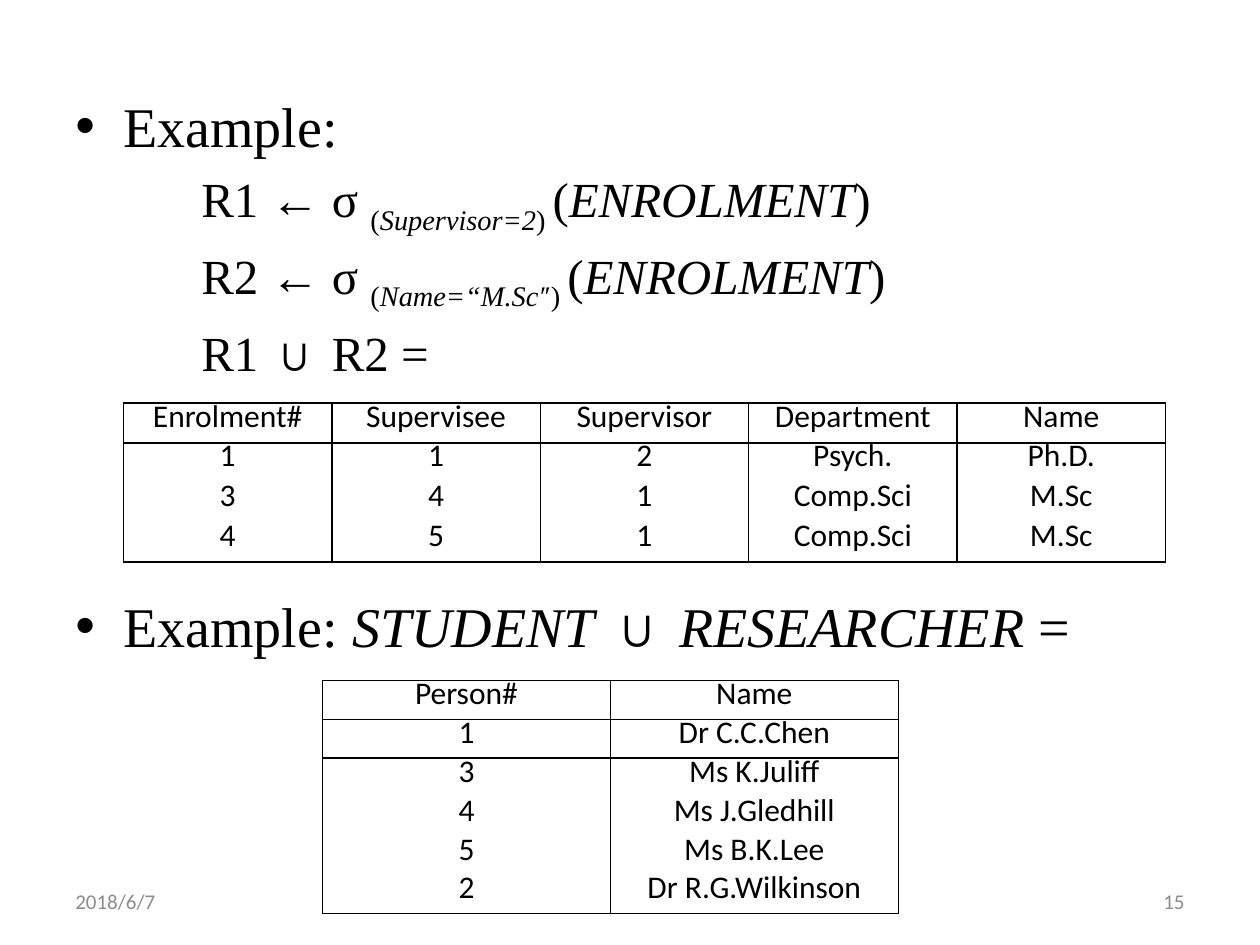
from lxml import etree
from pptx import Presentation
from pptx import util as u
from pptx.dml import color
from pptx.enum import text
from pptx.oxml import ns

BLACK, GREY = "000000", "8C8C8C"
SERIF, SANS = "Times New Roman", "Calibri"


def add_run(paragraph, wording, size, face, ink=BLACK, italic=False):
    run = paragraph.add_run()
    run.text = wording
    formats = {"size": u.Pt(size), "name": face, "italic": italic, "bold": False}
    for key, value in formats.items():
        setattr(run.font, key, value)
    run.font.color.rgb = color.RGBColor.from_string(ink)
    return run


def draw_borders(cell, sides):
    props = cell._tc.get_or_add_tcPr()
    for order, side in enumerate("LRTB"):
        line = etree.Element(ns.qn(f"a:ln{side}"), w=str(u.Pt(1)))
        if side in sides:
            fill = etree.SubElement(line, ns.qn("a:solidFill"))
            etree.SubElement(fill, ns.qn("a:srgbClr"), val=BLACK)
        else:
            etree.SubElement(line, ns.qn("a:noFill"))
        props.insert(order, line)


prs = Presentation()
prs.slide_width, prs.slide_height = u.Inches(10), u.Inches(7.5)
slide = prs.slides.add_slide(prs.slide_layouts[6])

# Examples: (bulleted, size, space before, runs), each run with a style:
# "" plain, "i" italic, "s" subscript
examples = [
    (True, 32, 6.4, [("Example:", "")]),
    (False, 28, 5.6, [("R1 ← σ ", ""), ("(", "s"), ("Supervisor=2", "si"), (") ", "s"),
                      ("(", ""), ("ENROLMENT", "i"), (")", "")]),
    (False, 28, 5.6, [("R2 ← σ ", ""), ("(", "s"), ("Name=“M.Sc′", "si"), ("′) ", "s"),
                      ("(", ""), ("ENROLMENT", "i"), (")", "")]),
    (False, 28, 5.6, [("R1 ∪ R2 =", "")]),
    (True, 32, 120, [("Example: ", ""), ("STUDENT", "i"), (" ∪ ", ""),
                     ("RESEARCHER", "i"), (" =", "")]),
]
body = slide.shapes.add_textbox(u.Inches(0.5), u.Inches(0.68), u.Inches(9), u.Inches(6.54)).text_frame
body.word_wrap = True
for number, (bulleted, size, gap, runs) in enumerate(examples):
    paragraph = body.add_paragraph() if number else body.paragraphs[0]
    paragraph.space_before = u.Pt(gap)
    props = paragraph._p.get_or_add_pPr()
    props.set("marL", str(u.Inches(0.38 if bulleted else 1)))
    props.set("indent", str(u.Inches(-0.38 if bulleted else 0)))
    if bulleted:
        etree.SubElement(props, ns.qn("a:buFont"), typeface="Arial")
        etree.SubElement(props, ns.qn("a:buChar"), char="•")
    for wording, style in runs:
        run = add_run(paragraph, wording, size, SERIF, italic="i" in style)
        if "s" in style:
            run._r.get_or_add_rPr().set("baseline", "-25000")

# Result relations: (left, top, width, height, number of ruled rows, rows)
relations = [
    (0.98, 3.2, 8.27, 1.26, 1, [
        ["Enrolment#", "Supervisee", "Supervisor", "Department", "Name"],
        ["1", "1", "2", "Psych.", "Ph.D."],
        ["3", "4", "1", "Comp.Sci", "M.Sc"],
        ["4", "5", "1", "Comp.Sci", "M.Sc"]]),
    (2.56, 5.4, 4.57, 1.85, 2, [
        ["Person#", "Name"],
        ["1", "Dr C.C.Chen"],
        ["3", "Ms K.Juliff"],
        ["4", "Ms J.Gledhill"],
        ["5", "Ms B.K.Lee"],
        ["2", "Dr R.G.Wilkinson"]]),
]
for left, top, width, height, ruled, rows in relations:
    relation = slide.shapes.add_table(
        len(rows), len(rows[0]),
        u.Inches(left), u.Inches(top), u.Inches(width), u.Inches(height)).table
    relation.first_row = relation.horz_banding = False
    for r, row in enumerate(rows):
        sides = "LR" + ("T" if r <= ruled else "") + ("B" if r < ruled or r == len(rows) - 1 else "")
        for c, wording in enumerate(row):
            cell = relation.cell(r, c)
            cell.fill.background()
            draw_borders(cell, sides)
            paragraph = cell.text_frame.paragraphs[0]
            paragraph.alignment = text.PP_ALIGN.CENTER
            paragraph.line_spacing = u.Pt(15)
            add_run(paragraph, wording, 18, SANS)

# Footer: date and slide number
for left, wording, side in [(0.5, "2018/6/7", text.PP_ALIGN.LEFT), (7.17, "15", text.PP_ALIGN.RIGHT)]:
    footer = slide.shapes.add_textbox(u.Inches(left), u.Inches(6.95), u.Inches(2.33), u.Inches(0.4)).text_frame
    footer.word_wrap = True
    footer.vertical_anchor = text.MSO_ANCHOR.MIDDLE
    footer.paragraphs[0].alignment = side
    add_run(footer.paragraphs[0], wording, 12, SANS, GREY)

prs.save("out.pptx")
